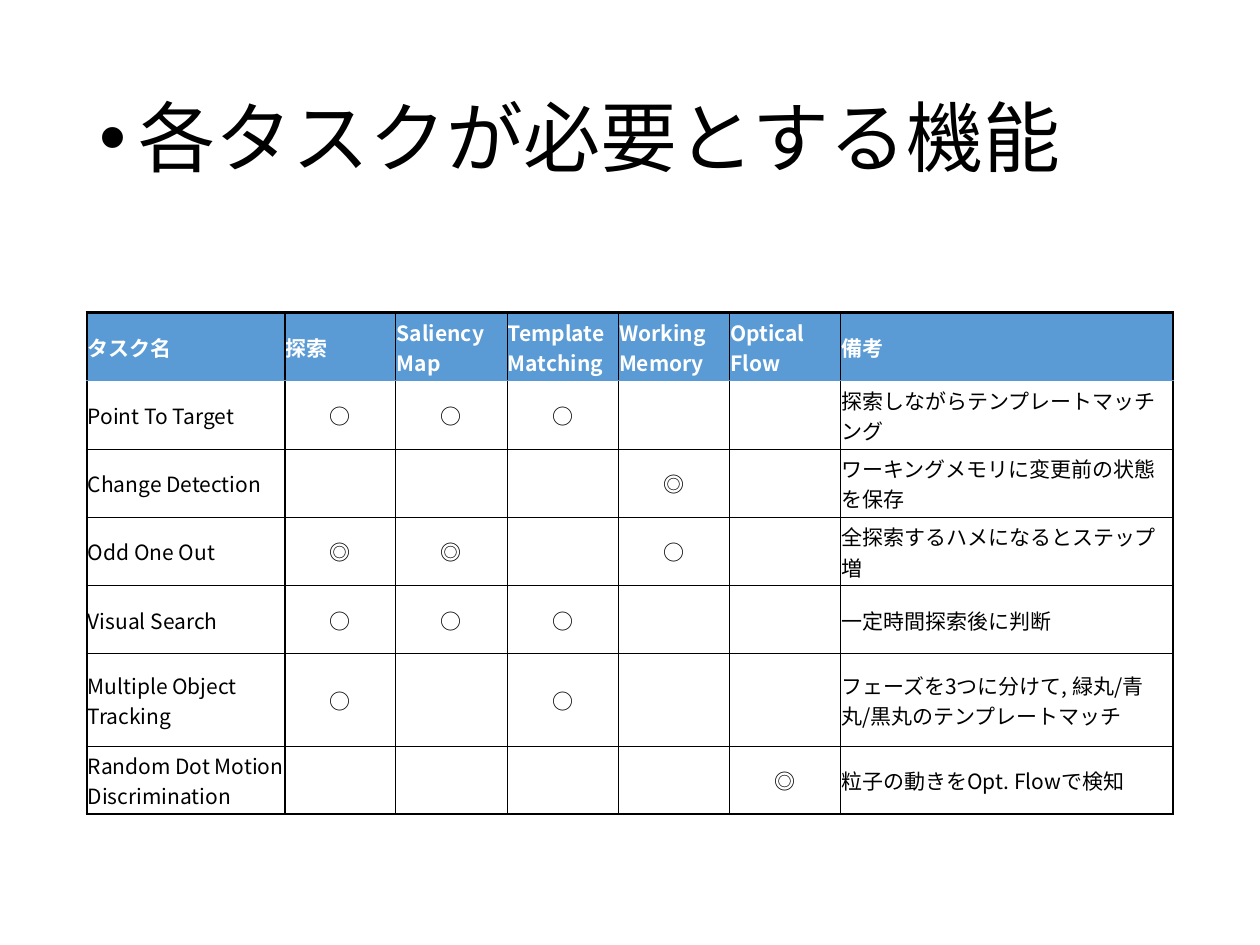
from dataclasses import dataclass

from lxml import etree
from pptx import Presentation
from pptx.dml import color
from pptx.enum import text
from pptx.oxml import ns
from pptx.util import Cm, Pt


@dataclass(frozen=True)
class Theme:
    ink: str = "000000"
    accent: str = "5B9BD5"
    paper: str = "FFFFFF"
    title_font: str = "Calibri"
    table_font: str = "Noto Sans CJK JP"
    title_size: float = 44
    table_size: float = 12
    thick: float = 1.5
    thin: float = 0.5


@dataclass(frozen=True)
class Box:
    left: float
    top: float
    width: float
    height: float


THEME = Theme()
TITLE = "各タスクが必要とする機能"
COLUMN_WIDTHS = [3.99, 2.24, 2.24, 2.24, 2.24, 2.24, 6.71]
HEADER = ["タスク名", "探索", "Saliency\vMap", "Template\vMatching",
          "Working\vMemory", "Optical\vFlow", "備考"]
TASKS = [
    ["Point To Target", "○", "○", "○", "", "", "探索しながらテンプレートマッチング"],
    ["Change Detection", "", "", "", "◎", "", "ワーキングメモリに変更前の状態を保存"],
    ["Odd One Out", "◎", "◎", "", "○", "", "全探索するハメになるとステップ増"],
    ["Visual Search", "○", "○", "○", "", "", "一定時間探索後に判断"],
    ["Multiple Object\vTracking", "○", "", "○", "", "",
     "フェーズを3つに分けて, 緑丸/青丸/黒丸のテンプレートマッチ"],
    ["Random Dot Motion\vDiscrimination", "", "", "", "", "◎",
     "粒子の動きをOpt. Flowで検知"],
]


def format_span(span, font, size, ink, bold=False):
    span.font.name = font
    span.font.size = Pt(size)
    span.font.bold = bold
    span.font.color.rgb = color.RGBColor.from_string(ink)


def add_title(page, box):
    title = page.shapes.title
    title.left, title.top = Cm(box.left), Cm(box.top)
    title.width, title.height = Cm(box.width), Cm(box.height)
    frame = title.text_frame
    frame.text = TITLE
    frame.vertical_anchor = text.MSO_ANCHOR.MIDDLE
    para = frame.paragraphs[0]
    para.alignment = text.PP_ALIGN.LEFT
    para.line_spacing = 0.9
    properties = para._p.get_or_add_pPr()
    properties.set("marL", str(Cm(0.79)))
    properties.set("indent", str(-Cm(0.79)))
    etree.SubElement(properties, ns.qn("a:buFont"), typeface="Arial")
    etree.SubElement(properties, ns.qn("a:buChar"), char="•")
    format_span(para.runs[0], THEME.title_font, THEME.title_size, THEME.ink)


def border_cell(cell, row, column, last_row, last_column):
    thick, thin = (THEME.ink, THEME.thick), (THEME.ink, THEME.thin)
    divider = (THEME.accent, THEME.thin)
    edges = {
        "a:lnL": thick if column <= 1 else thin,
        "a:lnR": thick if column in (0, last_column) else thin,
        "a:lnT": {0: thick, 1: divider}.get(row, thin),
        "a:lnB": {0: divider, last_row: thick}.get(row, thin),
    }
    properties = cell._tc.get_or_add_tcPr()
    for position, (edge, (ink, width)) in enumerate(edges.items()):
        line = etree.Element(ns.qn(edge), w=str(Pt(width)))
        fill = etree.SubElement(line, ns.qn("a:solidFill"))
        etree.SubElement(fill, ns.qn("a:srgbClr"), val=ink)
        properties.insert(position, line)


def fill_cell(cell, words, is_header, is_mark):
    cell.margin_left = cell.margin_right = cell.margin_top = Cm(0.02)
    cell.margin_bottom = 0
    cell.vertical_anchor = text.MSO_ANCHOR.MIDDLE
    if is_header:
        cell.fill.solid()
        cell.fill.fore_color.rgb = color.RGBColor.from_string(THEME.accent)
    else:
        cell.fill.background()
    cell.text_frame.text = words
    para = cell.text_frame.paragraphs[0]
    para.alignment = text.PP_ALIGN.CENTER if is_mark else text.PP_ALIGN.LEFT
    ink = THEME.paper if is_header else THEME.ink
    for span in para.runs:
        format_span(span, THEME.table_font, THEME.table_size, ink, is_header)
        etree.SubElement(span._r.get_or_add_rPr(), ns.qn("a:ea"),
                         typeface=THEME.table_font)


def add_task_table(page, box):
    rows = [HEADER, *TASKS]
    last_row, last_column = len(rows) - 1, len(HEADER) - 1
    table = page.shapes.add_table(
        len(rows), len(HEADER), Cm(box.left), Cm(box.top),
        Cm(box.width), Cm(box.height)).table
    table.first_row = table.horz_banding = False
    for column, width in zip(table.columns, COLUMN_WIDTHS):
        column.width = Cm(width)
    for r, row in enumerate(rows):
        for c, words in enumerate(row):
            cell = table.cell(r, c)
            fill_cell(cell, words, r == 0, r > 0 and 0 < c < last_column)
            border_cell(cell, r, c, last_row, last_column)


def main():
    deck = Presentation()
    deck.slide_width, deck.slide_height = Cm(25.4), Cm(19.05)
    page = deck.slides.add_slide(deck.slide_layouts[5])
    add_title(page, Box(1.75, 1.01, 21.9, 3.68))
    add_task_table(page, Box(1.75, 6.3, sum(COLUMN_WIDTHS), 9.63))
    deck.save("out.pptx")


if __name__ == "__main__":
    main()
